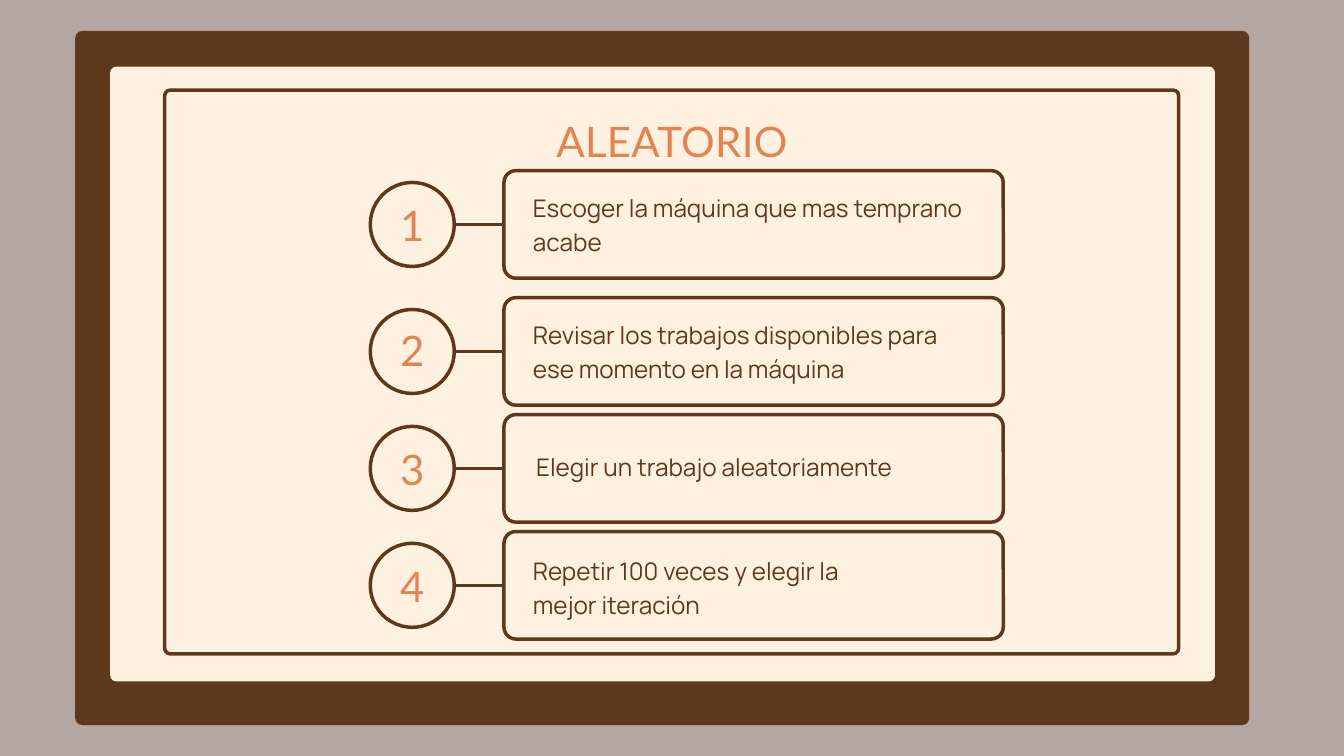
"""Build the ALEATORIO slide: four numbered steps inside a double frame."""
import lxml.etree
import pptx
import pptx.dml.color
import pptx.enum.shapes
import pptx.enum.text
import pptx.oxml.ns
import pptx.util

rgb = pptx.dml.color.RGBColor.from_string
SHAPE = pptx.enum.shapes.MSO_SHAPE
ALIGN = pptx.enum.text.PP_ALIGN
BROWN, CREAM, ORANGE, TAUPE = "5D381C", "FFF1DF", "E18455", "B4A6A1"

prs = pptx.Presentation()
prs.slide_width = pptx.util.Inches(20)
prs.slide_height = pptx.util.Inches(11.25)
s = prs.slides.add_slide(prs.slide_layouts[6])
s.background.fill.solid()
s.background.fill.fore_color.rgb = rgb(TAUPE)
COL = prs.slide_width / 200
ROW = prs.slide_height / 112.5


def add_shape(kind, x, y, w, h, fill=None, radius=None):
    sp = s.shapes.add_shape(kind, int(x * COL), int(y * ROW), int(w * COL), int(h * ROW))
    sp.shadow.inherit = False
    if radius:
        sp.adjustments[0] = radius
    if fill:
        sp.fill.solid()
        sp.fill.fore_color.rgb = rgb(fill)
        sp.line.fill.background()
    else:
        sp.fill.background()
        sp.line.color.rgb = rgb(BROWN)
        sp.line.width = pptx.util.Pt(3.75)
    return sp


def add_text(text, x, y, w, h, font, size, leading, color, align):
    tb = s.shapes.add_textbox(int(x * COL), int(y * ROW), int(w * COL), int(h * ROW))
    tf = tb.text_frame
    tf.margin_left = tf.margin_right = tf.margin_top = tf.margin_bottom = 0
    tf.word_wrap = True
    tf.auto_size = pptx.enum.text.MSO_AUTO_SIZE.SHAPE_TO_FIT_TEXT
    tf.text = text
    p = tf.paragraphs[0]
    p.alignment = align
    p.line_spacing = pptx.util.Pt(leading)
    r = p.runs[0]
    r.font.name = font
    r.font.size = pptx.util.Pt(size)
    r.font.color.rgb = rgb(color)
    return r


add_shape(SHAPE.ROUNDED_RECTANGLE, 11.2, 4.6, 174.7, 103.3, BROWN, 0.01)
add_shape(SHAPE.ROUNDED_RECTANGLE, 16.4, 9.9, 164.4, 91.5, CREAM, 0.01)
add_shape(SHAPE.ROUNDED_RECTANGLE, 24.5, 13.4, 150.9, 83.9, radius=0.01)

heading = ("Lato", 45, 58, ORANGE, ALIGN.CENTER)
body = ("Manrope", 26, 36.4, BROWN, ALIGN.LEFT)
headings = [add_text("ALEATORIO", 52.9, 16.6, 94.2, 8, *heading)]

steps = [
    ("Escoger la máquina que mas temprano acabe", 33.4, 29.2, 79.3, 28.1, 64.7, 10),
    ("Revisar los trabajos disponibles para ese momento en la máquina", 52.3, 47.8, 79.3, 46.9, 66.5, 10),
    ("Elegir un trabajo aleatoriamente", 69.7, 65.4, 79.8, 66.6, 64.7, 5),
    ("Repetir 100 veces y elegir la mejor iteración", 87.1, 82.9, 79.3, 82, 55.4, 10),
]
for number, (text, middle, number_y, x, y, w, h) in enumerate(steps, 1):
    add_shape(SHAPE.OVAL, 55.1, middle - 6.25, 12.5, 12.5)
    box = add_shape(SHAPE.ROUNDED_RECTANGLE, 75, middle - 8, 74.3, 16, radius=0.11)
    link = s.shapes.add_connector(
        pptx.enum.shapes.MSO_CONNECTOR.STRAIGHT,
        int(67.6 * COL), int(middle * ROW), int(75 * COL), int(middle * ROW))
    link.end_connect(box, 1)
    link.line.color.rgb = rgb(BROWN)
    link.line.width = pptx.util.Pt(3.75)
    lxml.etree.SubElement(link._element.spPr, pptx.oxml.ns.qn("a:effectLst"))
    add_text(text, x, y, w, h, *body)
    headings.append(add_text(str(number), 50.7, number_y, 21.3, 8, *heading))

for r in headings:
    r.font._element.set("spc", "40")

prs.save("out.pptx")
